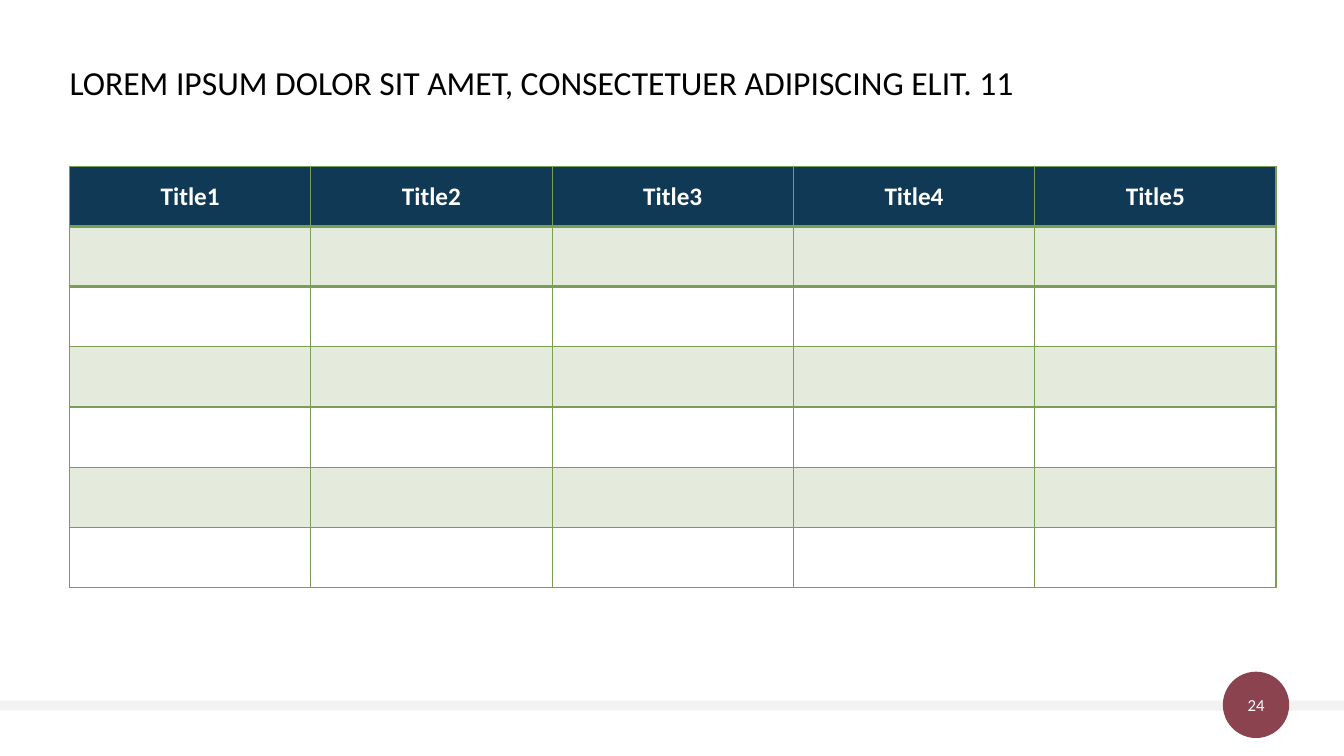
from lxml import etree
from pptx import Presentation
from pptx.dml.color import RGBColor
from pptx.enum.shapes import MSO_SHAPE
from pptx.enum.text import MSO_ANCHOR, PP_ALIGN
from pptx.oxml.ns import qn
from pptx.util import Pt

RECTANGLE, OVAL = MSO_SHAPE.RECTANGLE, MSO_SHAPE.OVAL
TOP, MIDDLE = MSO_ANCHOR.TOP, MSO_ANCHOR.MIDDLE
LEFT, CENTER = PP_ALIGN.LEFT, PP_ALIGN.CENTER

FONT = "Calibri"
COLORS = {
    "black": "000000",
    "white": "FFFFFF",
    "band": "F2F2F2",
    "badge": "8A434F",
    "header": "0F3955",
    "green": "7A9E56",
}
PAGE_WIDTH, PAGE_HEIGHT = 960, 540
TITLE = "LOREM IPSUM DOLOR SIT AMET, CONSECTETUER ADIPISCING ELIT. 11"
HEADINGS = [f"Title{number}" for number in range(1, 6)]
ROW_COUNT = 7


def color(name):
    return RGBColor.from_string(COLORS[name])


def write(frame, text, size, color_name, align, bold=False):
    frame.text = text
    para = frame.paragraphs[0]
    para.alignment = align
    font = para.runs[0].font
    font.name, font.size, font.bold = FONT, Pt(size), bold
    font.color.rgb = color(color_name)
    return para


def add_text_box(page, left, top, width, height, anchor, margins):
    """Margins run left, top, right, bottom."""
    box = page.shapes.add_textbox(Pt(left), Pt(top), Pt(width), Pt(height))
    frame = box.text_frame
    frame.word_wrap = True
    frame.vertical_anchor = anchor
    (frame.margin_left, frame.margin_top,
     frame.margin_right, frame.margin_bottom) = map(Pt, margins)
    return frame


def add_plain_shape(page, kind, left, top, width, height, color_name):
    shape = page.shapes.add_shape(kind, Pt(left), Pt(top), Pt(width), Pt(height))
    shape.shadow.inherit = False
    shape.fill.solid()
    shape.fill.fore_color.rgb = color(color_name)
    shape.line.fill.background()


def add_footer(page, left, top, width, height, number):
    """Grey band across the page with the page number in a round badge."""
    badge_left, badge_size = left + width - 86.5, 47.4
    label_height = 31
    middle = top + height / 2
    add_plain_shape(page, RECTANGLE, left, top, width, height, "band")
    badge_top = middle - 0.5 - badge_size / 2
    add_plain_shape(page, OVAL, badge_left, badge_top, badge_size, badge_size, "badge")
    frame = add_text_box(page, badge_left, middle - 0.5 - label_height / 2,
                         badge_size, label_height, MIDDLE, (0, 0, 0, 0))
    write(frame, number, 12, "white", CENTER)


def add_title(page, left, top, width, height):
    frame = add_text_box(page, left, top, width, height, TOP, (0, 3.6, 7.2, 3.6))
    write(frame, TITLE, 24, "black", LEFT).line_spacing = 0.9


def set_borders(cell, widths):
    """Widths run left, right, top, bottom; call before the cell is filled."""
    properties = cell._tc.get_or_add_tcPr()
    for side, width in zip("LRTB", widths):
        line = etree.SubElement(properties, qn(f"a:ln{side}"), w=str(Pt(width)))
        fill = etree.SubElement(line, qn("a:solidFill"))
        etree.SubElement(fill, qn("a:srgbClr"), val=COLORS["green"])


def fill_cell(cell, color_name, opacity=100):
    cell.fill.solid()
    cell.fill.fore_color.rgb = color(color_name)
    if opacity < 100:
        shade = cell._tc.tcPr.find(f"{qn('a:solidFill')}/{qn('a:srgbClr')}")
        etree.SubElement(shade, qn("a:alpha"), val=str(opacity * 1000))


def add_banded_table(page, left, top, width, height):
    table = page.shapes.add_table(ROW_COUNT, len(HEADINGS), Pt(left), Pt(top),
                                  Pt(width), Pt(height)).table
    for column in table.columns:
        column.width = Pt(width / len(HEADINGS))
    for row in table.rows:
        row.height = Pt(height / ROW_COUNT)
    line_widths = [1, 2, 2] + [1] * (ROW_COUNT - 2)
    for row_index, row in enumerate(table.rows):
        above, below = line_widths[row_index:row_index + 2]
        for cell, heading in zip(row.cells, HEADINGS):
            set_borders(cell, (1, 1, above, below))
            cell.vertical_anchor = MIDDLE
            if row_index == 0:
                fill_cell(cell, "header")
                write(cell.text_frame, heading, 18, "white", CENTER, bold=True)
            elif row_index % 2:
                fill_cell(cell, "green", opacity=20)
            else:
                cell.fill.background()


def main():
    deck = Presentation()
    deck.slide_width, deck.slide_height = Pt(PAGE_WIDTH), Pt(PAGE_HEIGHT)
    page = deck.slides.add_slide(deck.slide_layouts[6])
    add_footer(page, 0, 500.4, PAGE_WIDTH, 7.2, "24")
    add_title(page, 49.7, 43.9, 851.8, 65.5)
    add_banded_table(page, 49.7, 118.8, 861.8, 301)
    deck.save("out.pptx")


if __name__ == "__main__":
    main()
